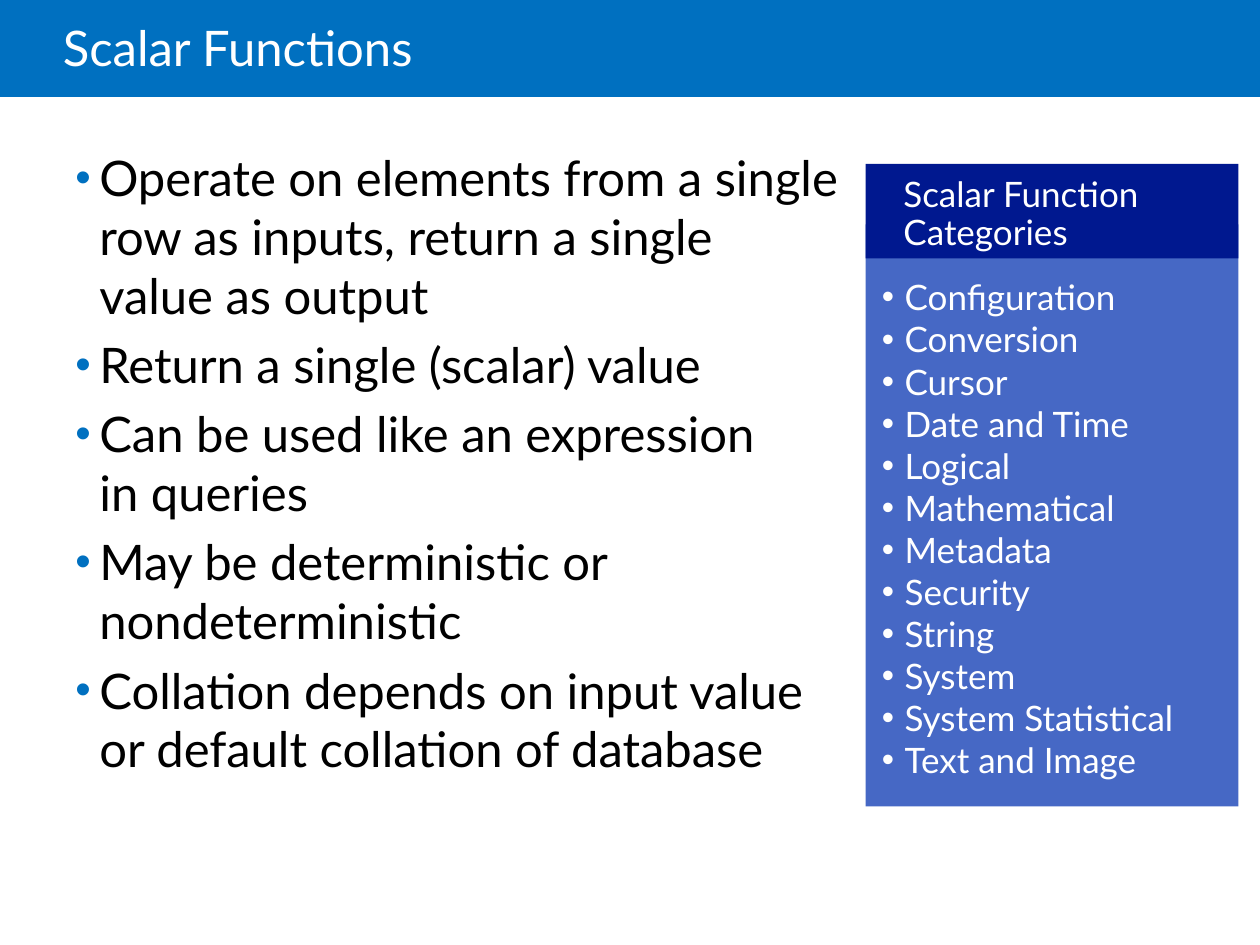
from dataclasses import dataclass, field

import pptx
import pptx.dml.color
import pptx.enum.shapes
import pptx.enum.text
import pptx.oxml
import pptx.oxml.ns
import pptx.util

COLORS = {
    "bar": "0070C0",
    "panel": "4668C5",
    "header": "00188F",
    "light": "FFFFFF",
    "dark": "000000",
}
COLS, ROWS = 100, 75
SLIDE_W, SLIDE_H = pptx.util.Inches(10), pptx.util.Inches(7.5)
MIDDLE = pptx.enum.text.MSO_ANCHOR.MIDDLE

POINTS = [
    "Operate on elements from a single\nrow as inputs, return a single \nvalue as output",
    "Return a single (scalar) value",
    "Can be used like an expression\nin queries",
    "May be deterministic or\nnondeterministic",
    "Collation depends on input value\nor default collation of database",
]
CATEGORIES = [
    "Configuration", "Conversion", "Cursor", "Date and Time", "Logical",
    "Mathematical", "Metadata", "Security", "String", "System",
    "System Statistical", "Text and Image",
]


@dataclass(frozen=True)
class Box:
    """A place on the grid, in columns and rows."""
    col: float
    row: float
    cols: float
    rows: float

    def emu(self) -> list[int]:
        w, h = SLIDE_W / COLS, SLIDE_H / ROWS
        return [round(v) for v in (self.col * w, self.row * h, self.cols * w, self.rows * h)]


@dataclass(frozen=True)
class Bullet:
    color: str
    indent: float  # inches
    percent: int = 100


@dataclass(frozen=True)
class TextBlock:
    box: Box
    lines: list[str]
    size: int
    color: str
    frame: dict = field(default_factory=dict)
    paragraph: dict = field(default_factory=dict)
    bullet: Bullet | None = None


def rgb(name: str) -> pptx.dml.color.RGBColor:
    return pptx.dml.color.RGBColor.from_string(COLORS[name])


def margins(left: float, top: float, right: float, bottom: float) -> dict:
    sides = {"left": left, "top": top, "right": right, "bottom": bottom}
    return {f"margin_{side}": pptx.util.Inches(v) for side, v in sides.items()}


def set_all(target, values: dict) -> None:
    for name, value in values.items():
        setattr(target, name, value)


def add_panel(slide, box: Box, color: str) -> None:
    sp = slide.shapes.add_shape(pptx.enum.shapes.MSO_SHAPE.RECTANGLE, *box.emu())
    sp.shadow.inherit = False
    sp.fill.solid()
    sp.fill.fore_color.rgb = rgb(color)
    sp.line.fill.background()


def add_bullet(p, bullet: Bullet) -> None:
    pPr = p._p.get_or_add_pPr()
    indent = pptx.util.Inches(bullet.indent)
    pPr.set("marL", str(indent))
    pPr.set("indent", str(-indent))
    ns = pptx.oxml.ns.nsdecls("a")
    for xml in (
        f'<a:buClr {ns}><a:srgbClr val="{COLORS[bullet.color]}"/></a:buClr>',
        f'<a:buSzPct {ns} val="{bullet.percent * 1000}"/>',
        f'<a:buFont {ns} typeface="Arial"/>',
        f'<a:buChar {ns} char="•"/>',
    ):
        pPr.append(pptx.oxml.parse_xml(xml))


def add_text(slide, block: TextBlock) -> None:
    tf = slide.shapes.add_textbox(*block.box.emu()).text_frame
    set_all(tf, {"word_wrap": True, **block.frame})
    for i, line in enumerate(block.lines):
        p = tf.add_paragraph() if i else tf.paragraphs[0]
        p.text = line
        set_all(p, block.paragraph)
        if block.bullet:
            add_bullet(p, block.bullet)
        for r in p.runs:
            set_all(r.font, {"name": "Lato", "size": pptx.util.Pt(block.size)})
            r.font.color.rgb = rgb(block.color)


def main() -> None:
    prs = pptx.Presentation()
    set_all(prs, {"slide_width": SLIDE_W, "slide_height": SLIDE_H})
    slide = prs.slides.add_slide(prs.slide_layouts[6])

    header = Box(68.7, 13, 29.6, 7.5)
    panels = [
        (Box(0, 0, COLS, 7.7), "bar"),
        (Box(header.col, 17.8, header.cols, 46.2), "panel"),
        (header, "header"),
    ]
    texts = [
        TextBlock(Box(5, 0, 85, 8.1), ["Scalar Functions"], 28, "light",
                  {"vertical_anchor": MIDDLE, **margins(0, 0.05, 0.1, 0.05)},
                  {"line_spacing": 0.85}),
        TextBlock(Box(5, 11.2, 85.6, 58.5), POINTS, 28, "dark",
                  paragraph={"space_before": pptx.util.Pt(6)},
                  bullet=Bullet("bar", 0.19, 90)),
        TextBlock(header, ["Scalar Function Categories"], 20, "light",
                  {"vertical_anchor": MIDDLE, **margins(0.3, 0.12, 0.1, 0.05)},
                  {"line_spacing": 0.9}),
        TextBlock(Box(70, 21.9, 26.4, 36.8), CATEGORIES, 20, "light",
                  margins(0, 0, 0, 0), bullet=Bullet("light", 0.18)),
    ]
    for box, color in panels:
        add_panel(slide, box, color)
    for block in texts:
        add_text(slide, block)
    prs.save("out.pptx")


if __name__ == "__main__":
    main()
